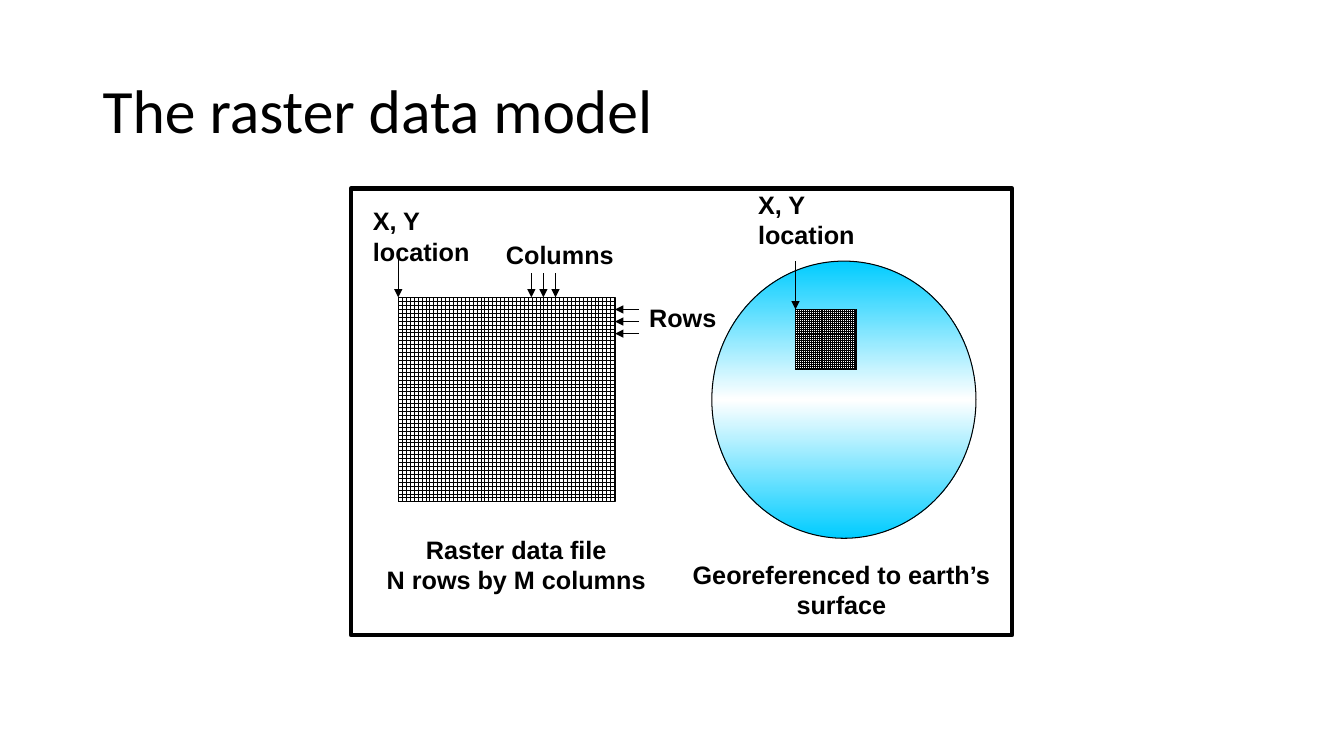
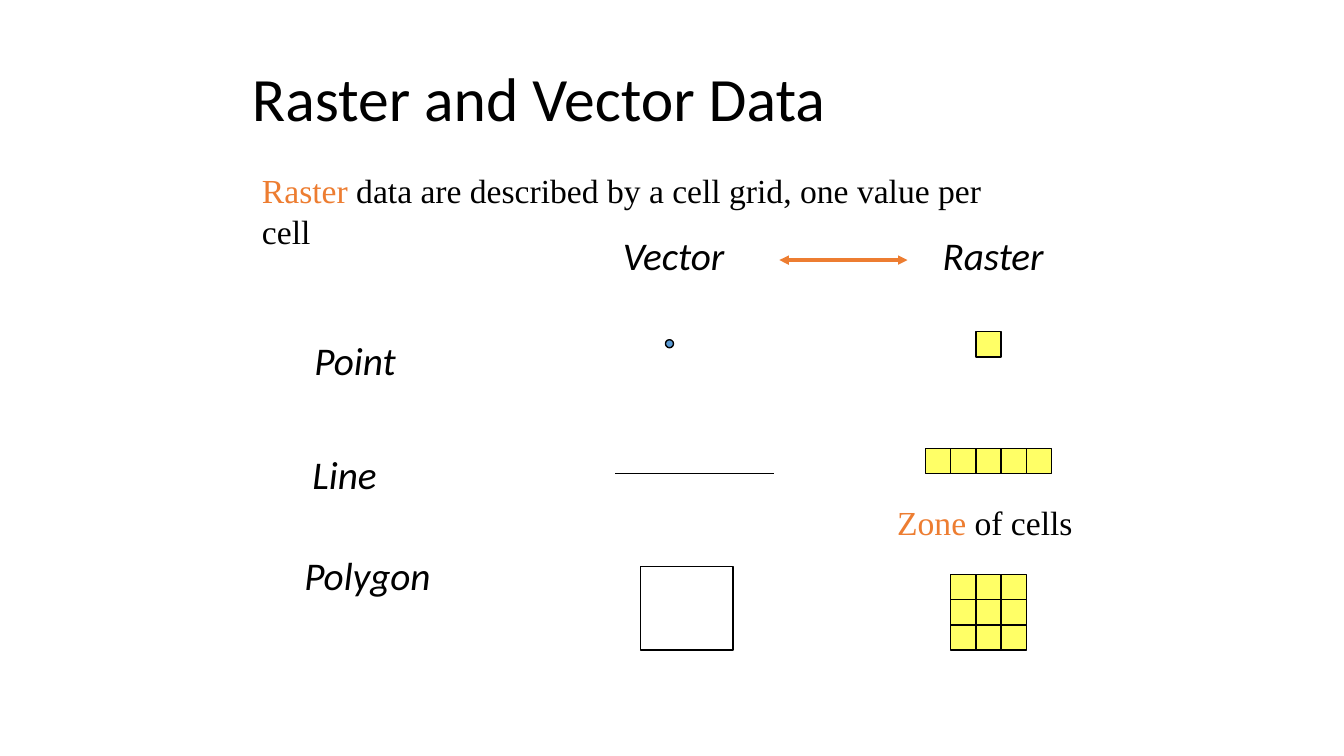
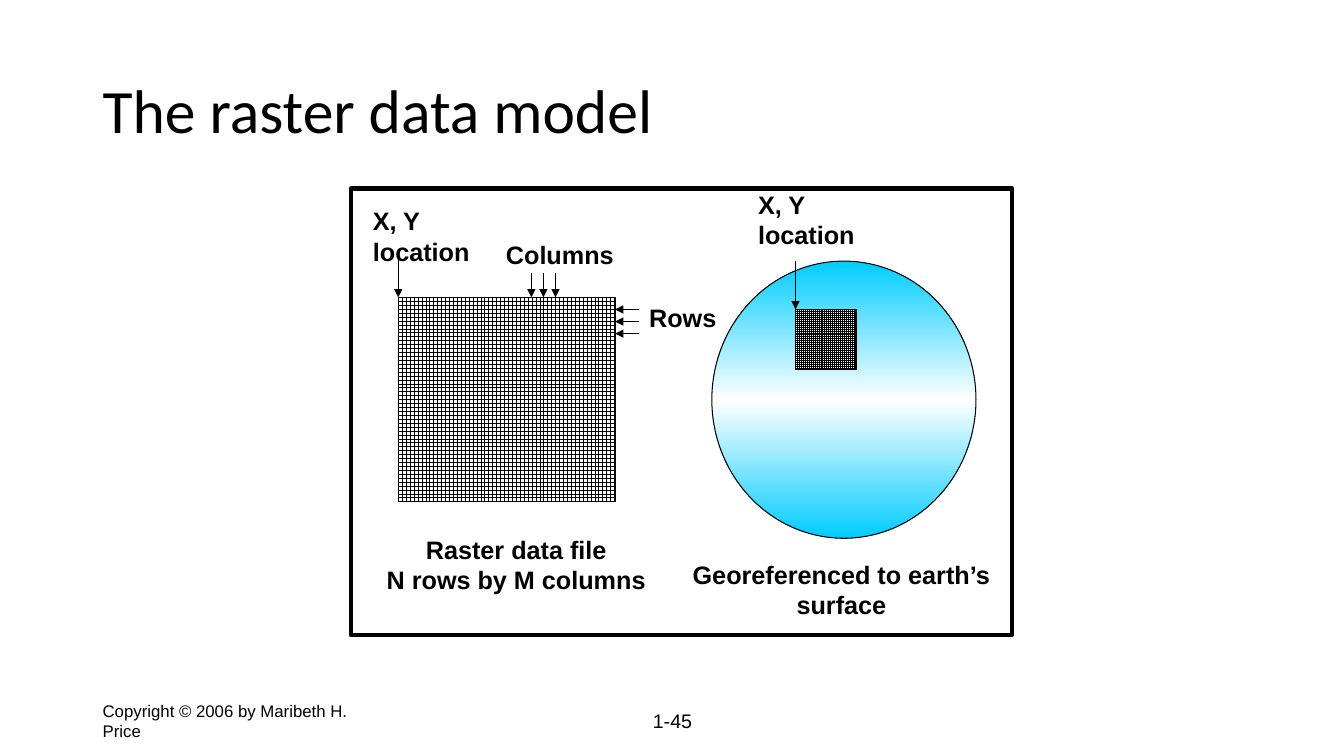
from copy import deepcopy
from dataclasses import dataclass

from pptx import Presentation
from pptx import util as u
from pptx.dml.color import RGBColor
from pptx.enum import dml, shapes, text
from pptx.oxml.ns import qn
from pptx.oxml.xmlchemy import OxmlElement

EMU_PER_PX = 9144  # 100 px to the inch
CELL = 25
ARROW_GAP = 12
COLORS = {
    "black": "000000",
    "white": "FFFFFF",
    "sky": "00CCFF",
    "yellow": "FFFF66",
    "blue": "5B9BD5",
    "orange": "ED7D31",
}
RECT = shapes.MSO_SHAPE.RECTANGLE
OVAL = shapes.MSO_SHAPE.OVAL
CENTER = text.PP_ALIGN.CENTER
MIDDLE = text.MSO_ANCHOR.MIDDLE


@dataclass(frozen=True)
class Style:
    font: str
    size: int
    bold: bool = False
    italic: bool = False
    align: text.PP_ALIGN = text.PP_ALIGN.LEFT
    anchor: text.MSO_ANCHOR = text.MSO_ANCHOR.TOP
    spacing: float = 1.0


TITLE = Style("Calibri", 44, anchor=MIDDLE, spacing=0.9)
LABEL = Style("Arial", 18, bold=True)
CAPTION = Style("Arial", 18, bold=True, align=CENTER)
HEADING = Style("Calibri", 28, italic=True)
BODY = Style("Times New Roman", 24)
COPYRIGHT = Style("Arial", 12, anchor=MIDDLE)
PAGE_NUMBER = Style("Arial", 14, align=CENTER, anchor=MIDDLE)


@dataclass(frozen=True)
class Label:
    """Text lines at a place; a lead is an orange opening run."""
    lines: tuple[str, ...]
    box: tuple[int, int, int, int]
    style: Style
    lead: str = ""
    wrap: bool = True


@dataclass(frozen=True)
class Line:
    start: tuple[int, int]
    end: tuple[int, int]
    color: str = "black"
    width: float = 0.75
    heads: tuple[str, ...] = ("a:tailEnd",)


@dataclass(frozen=True)
class CellBlock:
    left: int
    top: int
    columns: int
    rows: int


def px(length: int) -> u.Emu:
    return u.Emu(length * EMU_PER_PX)


def rgb(name: str) -> RGBColor:
    return RGBColor.from_string(COLORS[name])


def add_label(slide, label: Label) -> None:
    style = label.style
    frame = slide.shapes.add_textbox(*map(px, label.box)).text_frame
    frame.word_wrap = label.wrap
    if not label.wrap:
        frame.auto_size = text.MSO_AUTO_SIZE.SHAPE_TO_FIT_TEXT
    frame.vertical_anchor = style.anchor
    for index, line in enumerate(label.lines):
        paragraph = frame.add_paragraph() if index else frame.paragraphs[0]
        paragraph.alignment = style.align
        paragraph.line_spacing = style.spacing
        runs = [(line, "black")]
        if label.lead and index == 0:
            runs.insert(0, (label.lead, "orange"))
        for words, color in runs:
            run = paragraph.add_run()
            run.text = words
            run.font.name = style.font
            run.font.size = u.Pt(style.size)
            run.font.bold = style.bold
            run.font.italic = style.italic
            run.font.color.rgb = rgb(color)


def add_figure(slide, kind: shapes.MSO_SHAPE, box: tuple[int, int, int, int],
               fill: str | None = None, width: float = 1):
    shape = slide.shapes.add_shape(kind, *map(px, box))
    shape.shadow.inherit = False
    shape.line.color.rgb = rgb("black")
    shape.line.width = u.Pt(width)
    if fill:
        shape.fill.solid()
        shape.fill.fore_color.rgb = rgb(fill)
    else:
        shape.fill.background()
    return shape


def add_raster(slide, box: tuple[int, int, int, int],
               pattern: dml.MSO_PATTERN) -> None:
    fill = add_figure(slide, RECT, box, width=0.75).fill
    fill.patterned()
    fill.pattern = pattern
    fill.fore_color.rgb = rgb("black")
    fill.back_color.rgb = rgb("white")


def add_globe(slide, box: tuple[int, int, int, int]) -> None:
    shape = add_figure(slide, OVAL, box, width=0.75)
    shape.fill.gradient()
    shape.fill.gradient_angle = 90
    stop_list = next(shape._element.iter(qn("a:gsLst")))
    stop_list.append(deepcopy(stop_list[0]))
    bands = ((0, "sky"), (0.5, "white"), (1, "sky"))
    for stop, (position, color) in zip(shape.fill.gradient_stops, bands):
        stop.position = position
        stop.color.rgb = rgb(color)


def add_line(slide, line: Line) -> None:
    connector = slide.shapes.add_connector(
        shapes.MSO_CONNECTOR.STRAIGHT, *map(px, line.start + line.end))
    connector.line.color.rgb = rgb(line.color)
    connector.line.width = u.Pt(line.width)
    properties = connector._element.spPr
    for tag in line.heads:
        head = OxmlElement(tag)
        head.set("type", "triangle")
        properties.find(qn("a:ln")).append(head)
    properties.append(OxmlElement("a:effectLst"))


def add_cells(slide, block: CellBlock) -> None:
    for row in range(block.rows):
        for column in range(block.columns):
            box = (block.left + column * CELL, block.top + row * CELL, CELL, CELL)
            add_figure(slide, RECT, box, "yellow")


def new_slide(presentation, title: str, box: tuple[int, int, int, int]):
    slide = presentation.slides.add_slide(presentation.slide_layouts[6])
    add_label(slide, Label((title,), box, TITLE))
    return slide


def raster_model_slide(presentation):
    slide = new_slide(presentation, "The raster data model", (92, 40, 1150, 145))
    add_figure(slide, RECT, (348, 187, 656, 443), "white", 3)

    # Raster file and georeferenced globe
    add_raster(slide, (395, 295, 215, 203), dml.MSO_PATTERN.LARGE_GRID)
    add_globe(slide, (706, 259, 262, 275))
    add_raster(slide, (789, 307, 60, 60), dml.MSO_PATTERN.SMALL_GRID)

    # Arrows to columns, rows and corners
    offsets = [step * ARROW_GAP for step in range(3)]
    arrows = [Line((527 + offset, 271), (527 + offset, 295)) for offset in offsets]
    arrows += [Line((634, 307 + offset), (610, 307 + offset)) for offset in offsets]
    arrows += [Line((395, 247), (395, 295)), Line((789, 259), (789, 307))]
    for arrow in arrows:
        add_line(slide, arrow)

    for label in (
        Label(("Rows",), (634, 295, 128, 36), LABEL),
        Label(("Columns",), (492, 233, 170, 36), LABEL),
        Label(("X, Y location",), (360, 199, 149, 48), LABEL),
        Label(("X, Y location",), (742, 183, 149, 56), LABEL),
        Label(("Raster data file", "N rows by M columns"),
              (342, 525, 340, 60), CAPTION),
        Label(("Georeferenced to earth’s surface",), (675, 550, 319, 60), CAPTION),
    ):
        add_label(slide, label)
    return slide


def raster_vector_slide(presentation) -> None:
    slide = new_slide(presentation, "Raster and Vector Data", (240, 38, 850, 125))

    # Row and column headings, notes
    for label in (
        Label(("Point",), (302, 329, 140, 57), HEADING),
        Label(("Line",), (300, 442, 85, 57), HEADING, wrap=False),
        Label(("Polygon",), (292, 542, 150, 57), HEADING, wrap=False),
        Label(("Vector",), (608, 225, 124, 57), HEADING, wrap=False),
        Label(("Raster",), (925, 225, 122, 57), HEADING, wrap=False),
        Label((" data are described by a cell grid, one value per cell",),
              (250, 164, 788, 50), BODY, lead="Raster"),
        Label((" of cells",), (880, 493, 194, 50), BODY, lead="Zone", wrap=False),
    ):
        add_label(slide, label)
    add_line(slide, Line((773, 258), (900, 258), "orange", 2.25,
                         ("a:headEnd", "a:tailEnd")))

    # Vector forms
    add_figure(slide, OVAL, (660, 337, 8, 8), "blue")
    add_line(slide, Line((610, 470), (768, 470), width=1, heads=()))
    add_figure(slide, RECT, (635, 562, 92, 83))

    # Raster forms: point, line, polygon
    for block in (CellBlock(968, 329, 1, 1), CellBlock(918, 445, 5, 1),
                  CellBlock(943, 570, 3, 3)):
        add_cells(slide, block)


def main() -> None:
    presentation = Presentation()
    presentation.slide_width = px(1333)
    presentation.slide_height = px(750)
    raster_model_slide(presentation)
    raster_vector_slide(presentation)
    closing = raster_model_slide(presentation)

    # Footer
    add_label(closing, Label(("Copyright © 2006 by Maribeth H. Price",),
                             (92, 695, 300, 40), COPYRIGHT))
    add_label(closing, Label(("1-45",), (442, 695, 450, 40), PAGE_NUMBER))
    presentation.save("out.pptx")


if __name__ == "__main__":
    main()
